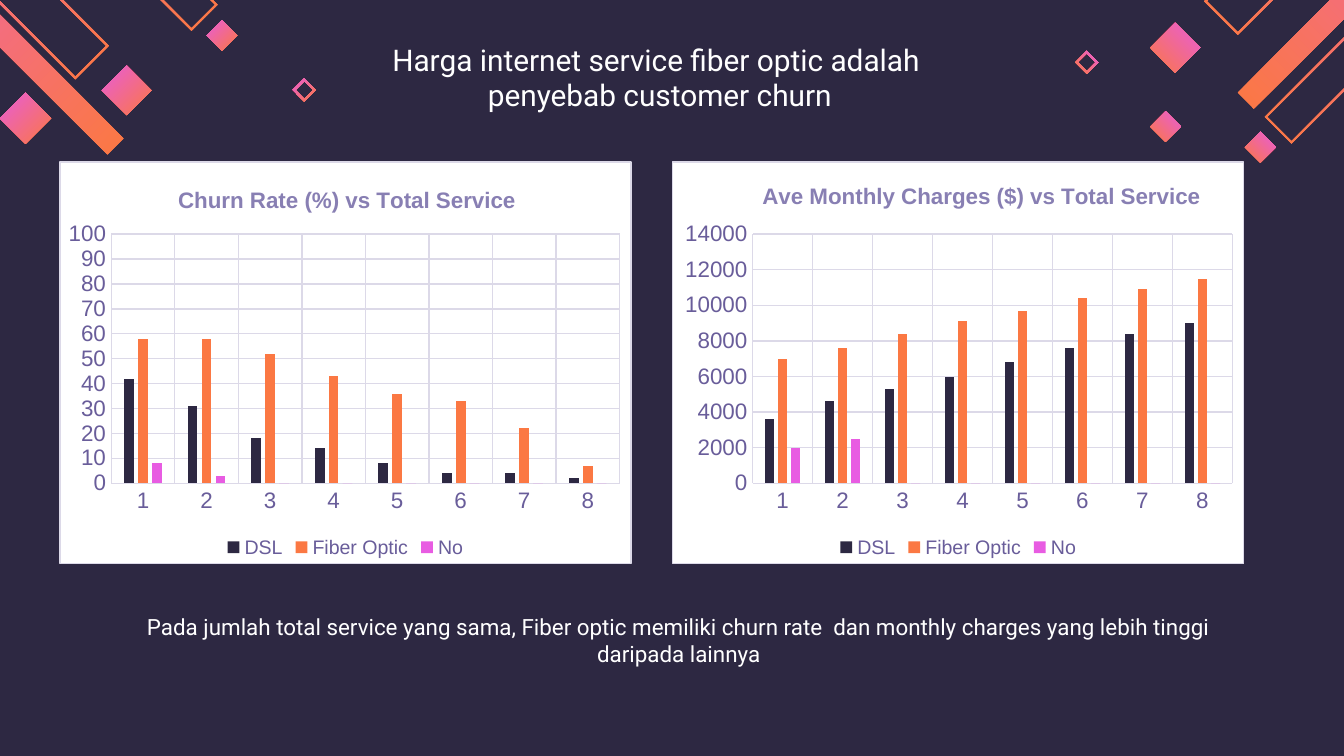
from lxml import etree
from pptx import Presentation
from pptx.chart import data
from pptx.dml import color
from pptx.enum import chart as kinds, text
from pptx.oxml import ns, parse_xml
from pptx.util import Pt

COLORS = {
    "background": "2D2842", "white": "FFFFFF", "grid": "DCD9E8", "axis": "695D9A",
    "heading": "887FB3", "orange": "FB7843", "pink": "E85CDB", "magenta": "E85CE2",
}
TITLE = "Harga internet service fiber optic adalah \vpenyebab customer churn"
CAPTION = (
    "Pada jumlah total service yang sama, Fiber optic memiliki churn rate  dan "
    "monthly charges yang lebih tinggi daripada lainnya"
)
SERVICES = [str(number) for number in range(1, 9)]
SERIES_COLORS = {"DSL": "background", "Fiber Optic": "orange", "No": "magenta"}
CHARTS = [
    {
        "title": "Churn Rate (%) vs Total Service", "left": 31.7, "maximum": 100, "step": 10,
        "title_at": {"x": 0.2, "y": 0.05},
        "plot_at": {"x": 0.09, "y": 0.18, "w": 0.89, "h": 0.62},
        "values": [
            (42, 31, 18, 14, 8, 4, 4, 2),
            (58, 58, 52, 43, 36, 33, 22, 7),
            (8, 3, 0, 0, 0, 0, 0, 0),
        ],
    },
    {
        "title": "Ave Monthly Charges ($) vs Total Service", "left": 360, "maximum": 14000, "step": 2000,
        "title_at": {"x": 0.15, "y": 0.04},
        "plot_at": {"x": 0.14, "y": 0.18, "w": 0.84, "h": 0.62},
        "values": [
            (3600, 4600, 5300, 6000, 6800, 7600, 8400, 9000),
            (7000, 7600, 8400, 9100, 9700, 10400, 10900, 11500),
            (2000, 2500, 0, 0, 0, 0, 0, 0),
        ],
    },
]
# left, top, size, distance from left to the top corner, hollow
DECORATIONS = {
    45: [
        (645.1, -139.7, 158.4, 140.4, True),
        (663.1, -119.5, 177.8, 169.2, False),
        (677.5, -97.2, 174.2, 159.8, True),
        (666.9, 70.6, 16.6, 8.3, False),
        (576, 27.2, 12.4, 6.2, True),
        (616.2, 12.2, 26.8, 13.4, False),
        (616.2, 59.6, 16.4, 8.2, False),
    ],
    135: [
        (-100.1, -115.9, 158.4, 18, True),
        (-111.6, -95, 177.8, 8.6, False),
        (-57.6, -157.7, 174.2, 14, True),
        (110.7, 10.8, 16.4, 8.2, False),
        (0, 49.7, 27.4, 13.7, False),
        (156.8, 42, 12.4, 6.2, True),
        (54.6, 35.1, 26.6, 13.3, False),
    ],
}
FRAME = 1.44


def rgb(name):
    return color.RGBColor.from_string(COLORS[name])


def style_font(font, size, name, face="Arial", bold=False):
    font.size, font.name, font.bold = Pt(size), face, bold
    font.color.rgb = rgb(name)


def style_line(line):
    line.color.rgb = rgb("grid")
    line.width = Pt(0.75)


def corners(left, top, size, apex, inset):
    rest = size - apex
    return [
        (Pt(left + apex), Pt(top + inset)),
        (Pt(left + size - inset), Pt(top + rest)),
        (Pt(left + rest), Pt(top + size - inset)),
        (Pt(left + inset), Pt(top + apex)),
    ]


def add_decoration(page, angle, left, top, size, apex, hollow):
    outer = corners(left, top, size, apex, 0)
    builder = page.shapes.build_freeform(*outer[0])
    builder.add_line_segments(outer[1:])
    if hollow:
        inner = corners(left, top, size, apex, FRAME)[::-1]
        builder.move_to(*inner[0])
        builder.add_line_segments(inner[1:])
    shape = builder.convert_to_shape()
    shape.shadow.inherit = False
    shape.line.fill.background()
    shape.fill.gradient()
    shape.fill.gradient_angle = angle
    for stop, name in zip(shape.fill.gradient_stops, ("orange", "pink")):
        stop.color.rgb = rgb(name)


def place(element, index, fractions):
    for old in element.findall(ns.qn("c:layout")):
        element.remove(old)
    layout = etree.Element(ns.qn("c:layout"))
    manual = etree.SubElement(layout, ns.qn("c:manualLayout"))
    settings = {"layoutTarget": "inner"} if "w" in fractions else {}
    settings.update(xMode="edge", yMode="edge", **fractions)
    for tag, value in settings.items():
        etree.SubElement(manual, ns.qn("c:" + tag)).set("val", str(value))
    element.insert(index, parse_xml(etree.tostring(layout)))


def add_column_chart(page, content):
    table = data.CategoryChartData()
    table.categories = SERVICES
    for name, values in zip(SERIES_COLORS, content["values"]):
        table.add_series(name, values)
    chart = page.shapes.add_chart(
        kinds.XL_CHART_TYPE.COLUMN_CLUSTERED,
        Pt(content["left"]), Pt(86.4), Pt(306.7), Pt(216), table,
    ).chart
    style_font(chart.font, 10, "background")
    heading = chart.chart_title
    heading.text_frame.text = content["title"]
    style_font(heading.text_frame.paragraphs[0].runs[0].font, 12, "heading", bold=True)
    place(heading._element, 1, content["title_at"])

    plot = chart.plots[0]
    plot.gap_width, plot.overlap, plot.vary_by_categories = 267, -43, False
    for series in plot.series:
        series.format.fill.solid()
        series.format.fill.fore_color.rgb = rgb(SERIES_COLORS[series.name])
    for axis in (chart.category_axis, chart.value_axis):
        axis.major_tick_mark = axis.minor_tick_mark = kinds.XL_TICK_MARK.NONE
        axis.has_major_gridlines = True
        style_line(axis.major_gridlines.format.line)
        style_font(axis.tick_labels.font, 12, "axis")
    style_line(chart.category_axis.format.line)
    scale = chart.value_axis
    scale.format.line.fill.background()
    scale.minimum_scale, scale.maximum_scale = 0, content["maximum"]
    scale.major_unit = content["step"]

    chart.has_legend = True
    chart.legend.position = kinds.XL_LEGEND_POSITION.BOTTOM
    chart.legend.include_in_layout = False
    style_font(chart.legend.font, 10.5, "axis")
    body = chart._chartSpace.find(ns.qn("c:chart"))
    place(body.find(ns.qn("c:plotArea")), 0, content["plot_at"])
    body.addnext(parse_xml(
        f'<c:spPr {ns.nsdecls("c", "a")}><a:solidFill><a:srgbClr val="{COLORS["white"]}"/></a:solidFill>'
        f'<a:ln w="{Pt(0.75)}"><a:solidFill><a:srgbClr val="{COLORS["grid"]}"/></a:solidFill></a:ln></c:spPr>'
    ))


def write(box, frame, content, size, anchor):
    box.left, box.top, box.width, box.height = map(Pt, frame)
    area = box.text_frame
    area.text = content
    area.word_wrap = True
    area.auto_size = text.MSO_AUTO_SIZE.NONE
    area.vertical_anchor = anchor
    area.margin_left = area.margin_right = area.margin_top = area.margin_bottom = Pt(7.2)
    para = area.paragraphs[0]
    para.alignment = text.PP_ALIGN.CENTER
    for span in para.runs:
        style_font(span.font, size, "white", "Roboto")


def main():
    """Build the churn slide with two column charts."""
    deck = Presentation()
    deck.slide_width, deck.slide_height = Pt(720), Pt(405)
    page = deck.slides.add_slide(deck.slide_layouts[5])
    page.background.fill.solid()
    page.background.fill.fore_color.rgb = rgb("background")
    for angle, pieces in DECORATIONS.items():
        for piece in pieces:
            add_decoration(page, angle, *piece)
    for content in CHARTS:
        add_column_chart(page, content)
    write(page.shapes.title, (0, 7.9, 707, 59.8), TITLE, 16, text.MSO_ANCHOR.BOTTOM)
    caption = page.shapes.add_textbox(0, 0, 0, 0)
    write(caption, (52.6, 321.1, 622.1, 51.1), CAPTION, 12, text.MSO_ANCHOR.TOP)
    deck.save("out.pptx")


if __name__ == "__main__":
    main()
